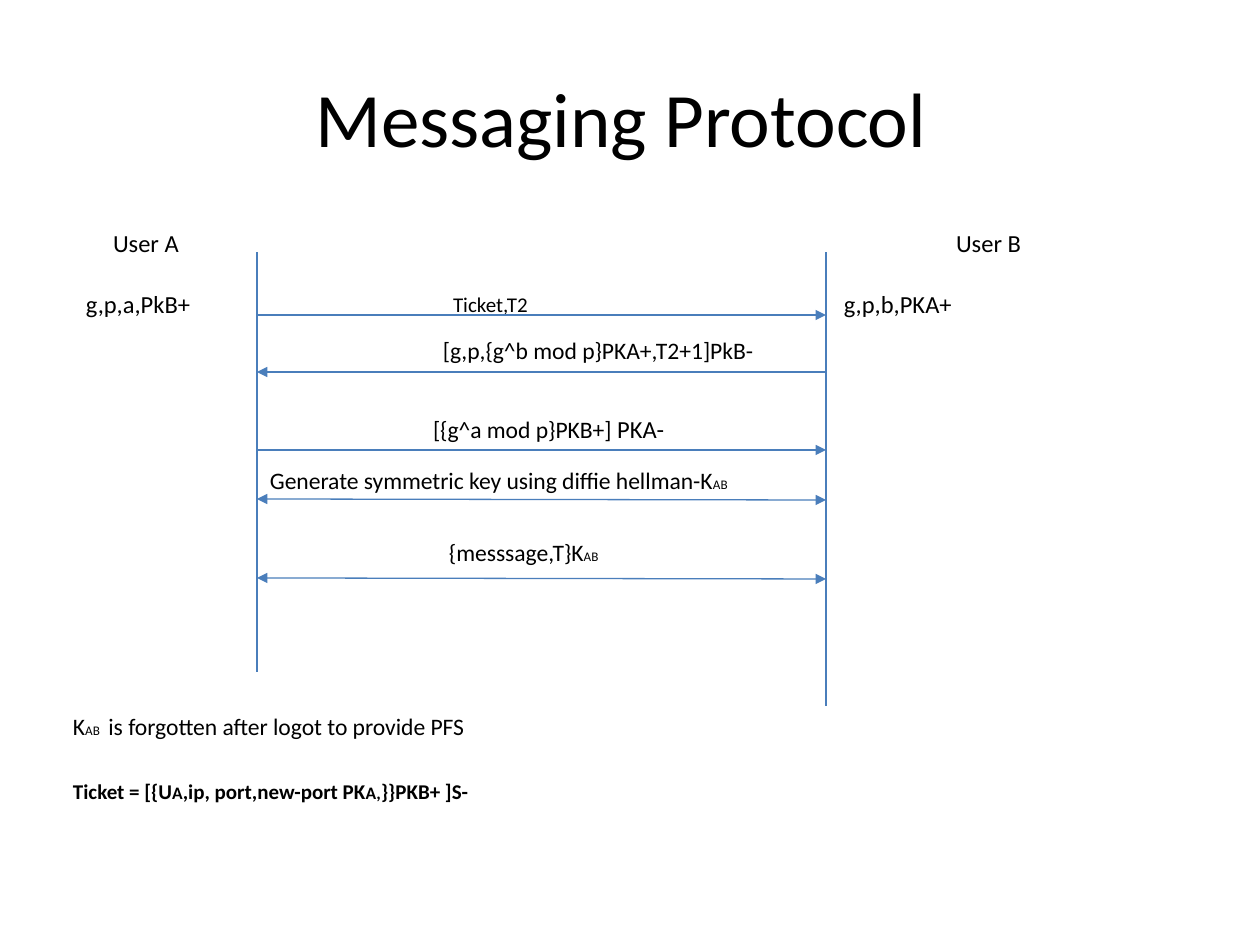
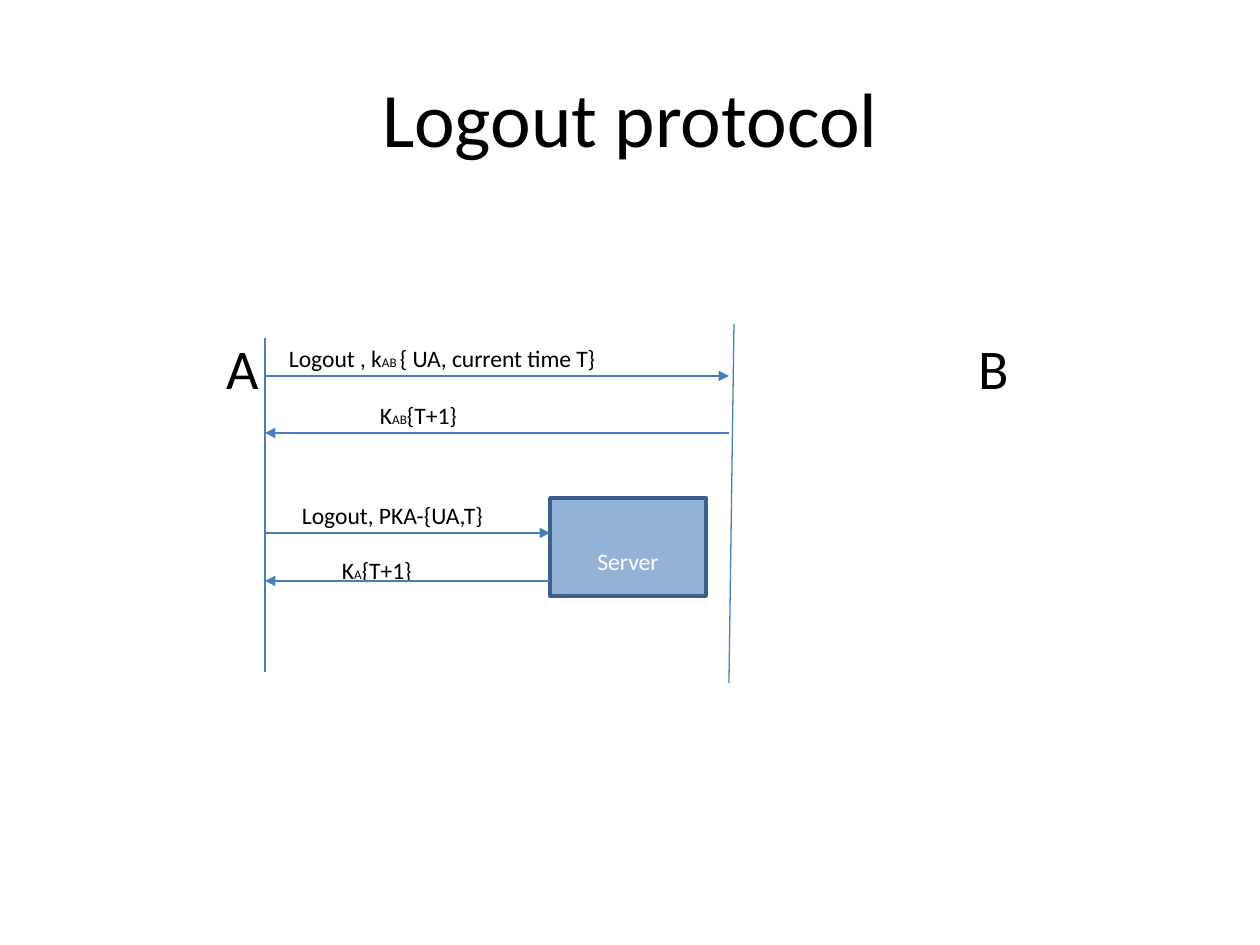
from lxml.etree import SubElement
from pptx import Presentation
from pptx.dml.color import RGBColor
from pptx.enum.shapes import MSO_CONNECTOR, MSO_SHAPE
from pptx.enum.text import MSO_ANCHOR, PP_ALIGN
from pptx.oxml.ns import qn
from pptx.util import Pt

PX = 914400 / 126
FONT = "Calibri"
BLACK = RGBColor(0x00, 0x00, 0x00)
WHITE = RGBColor(0xFF, 0xFF, 0xFF)
LINE_BLUE = RGBColor(0x4A, 0x7E, 0xBB)
SERVER_FILL = RGBColor(0x95, 0xB3, 0xD7)
SERVER_EDGE = RGBColor(0x3A, 0x5F, 0x8C)

TITLE, LETTER, BODY, MESSAGE, SMALL, MINOR, SUBSCRIPT = 44, 32, 14, 13.5, 12, 10, 7.5


def px(*lengths):
    return [round(length * PX) for length in lengths]


def add_spans(paragraph, spans, color=BLACK, bold=False):
    for words, size in spans:
        span = paragraph.add_run()
        span.text = words
        span.font.name = FONT
        span.font.size = Pt(size)
        span.font.bold = bold
        span.font.color.rgb = color


def set_frame(frame, anchor=MSO_ANCHOR.TOP, top=6):
    frame.word_wrap = True
    frame.vertical_anchor = anchor
    frame.margin_left, frame.margin_right = px(13, 13)
    frame.margin_top, frame.margin_bottom = px(top, 6)


def add_label(page, spans, left, top, width, height=40):
    box = page.shapes.add_textbox(*px(left, top, width, height))
    set_frame(box.text_frame)
    add_spans(box.text_frame.paragraphs[0], spans)
    return box


def add_title(page, words):
    box = page.shapes.add_textbox(*px(63, 38, 1134, 157))
    set_frame(box.text_frame, MSO_ANCHOR.MIDDLE)
    paragraph = box.text_frame.paragraphs[0]
    paragraph.alignment = PP_ALIGN.CENTER
    add_spans(paragraph, [(words, TITLE)])


def add_line(page, start, end, head=False, tail=False):
    line = page.shapes.add_connector(MSO_CONNECTOR.STRAIGHT, *px(*start, *end))
    line.line.color.rgb = LINE_BLUE
    line.line.width = Pt(0.75)
    outline = line.line._get_or_add_ln()
    for wanted, tag in ((head, "a:headEnd"), (tail, "a:tailEnd")):
        if wanted:
            SubElement(outline, qn(tag)).set("type", "triangle")
    SubElement(line._element.spPr, qn("a:effectLst"))


def add_arrow(page, start, end):
    add_line(page, start, end, tail=True)


def add_exchange(page, start, end):
    add_line(page, start, end, head=True, tail=True)


def add_server(page):
    server = page.shapes.add_shape(MSO_SHAPE.RECTANGLE, *px(550, 498, 156, 98))
    server.shadow.inherit = False
    server.fill.solid()
    server.fill.fore_color.rgb = SERVER_FILL
    server.line.color.rgb = SERVER_EDGE
    server.line.width = Pt(2)
    set_frame(server.text_frame, MSO_ANCHOR.MIDDLE, top=35)
    paragraph = server.text_frame.paragraphs[0]
    paragraph.alignment = PP_ALIGN.CENTER
    add_spans(paragraph, [("Server", MESSAGE)], WHITE)


def build_messaging(page):
    user_a, user_b = 257, 826
    add_title(page, "Messaging Protocol ")
    add_label(page, [("User A", BODY)], 100, 222, 110)
    add_label(page, [("User B", BODY)], 943, 222, 110)
    add_label(page, [("g,p,a,PkB+", BODY)], 73, 283, 150)
    add_label(page, [("Ticket,T2", SMALL)], 440, 286, 120)
    add_label(page, [("g,p,b,PKA+", BODY)], 831, 283, 150)
    add_label(page, [("[g,p,{g^b mod p}PKA+,T2+1]PkB-", MESSAGE)], 430, 330, 358)
    add_label(page, [("[{g^a mod p}PKB+]", MESSAGE), (" PKA-", BODY)], 420, 408, 270)
    add_label(page, [("Generate symmetric key using diffie hellman-K", MESSAGE),
                     ("AB", SUBSCRIPT)], 257, 460, 569)
    add_label(page, [("{messsage,T}K", MESSAGE), ("AB", SUBSCRIPT)], 436, 532, 229)

    notes = add_label(page, [("K", MESSAGE), ("AB ", SUBSCRIPT),
                             (" is forgotten after logot to provide PFS", MESSAGE)],
                      60, 706, 590, 110)
    ticket = notes.text_frame.add_paragraph()
    ticket.space_before = Pt(22)
    add_spans(ticket, [("Ticket = [{U", SMALL), ("A", MINOR),
                       (",ip, port,new-port PK", SMALL), ("A,", MINOR),
                       ("}}PKB+ ]S-", SMALL)], bold=True)

    add_line(page, (user_a, 252), (user_a, 672))
    add_line(page, (user_b, 252), (user_b, 706))
    add_arrow(page, (user_a, 315), (user_b, 315))
    add_arrow(page, (user_b, 372), (user_a, 372))
    add_arrow(page, (user_a, 450), (user_b, 450))
    for y in (499, 578):
        add_exchange(page, (user_a, y), (user_b, y + 1))


def build_logout(page):
    user_a, user_b, server_edge = 265, 729, 550
    add_title(page, "Logout protocol")
    add_label(page, [("A", LETTER)], 213, 327, 70, 80)
    add_label(page, [("B", LETTER)], 966, 327, 70, 80)
    add_label(page, [("Logout , k", MESSAGE), ("AB ", SUBSCRIPT),
                     ("{ UA, current time T}", MESSAGE)], 276, 338, 417)
    add_label(page, [("K", MESSAGE), ("AB", SUBSCRIPT), ("{T+1}", MESSAGE)],
              367, 395, 137)
    add_server(page)
    add_label(page, [("Logout, PKA-{UA,T}", MESSAGE)], 289, 495, 215)
    add_label(page, [("K", MESSAGE), ("A", SUBSCRIPT), ("{T+1}", MESSAGE)],
              329, 550, 127)

    add_line(page, (user_a, 338), (user_a, 672))
    add_line(page, (734, 324), (user_b, 683))
    for far_end, request, reply in ((user_b, 376, 433), (server_edge, 533, 581)):
        add_arrow(page, (user_a, request), (far_end, request))
        add_arrow(page, (far_end, reply), (user_a, reply))


def main():
    deck = Presentation()
    deck.slide_width, deck.slide_height = px(1260, 945)
    for build in (build_messaging, build_logout):
        build(deck.slides.add_slide(deck.slide_layouts[6]))
    deck.save("out.pptx")


if __name__ == "__main__":
    main()
